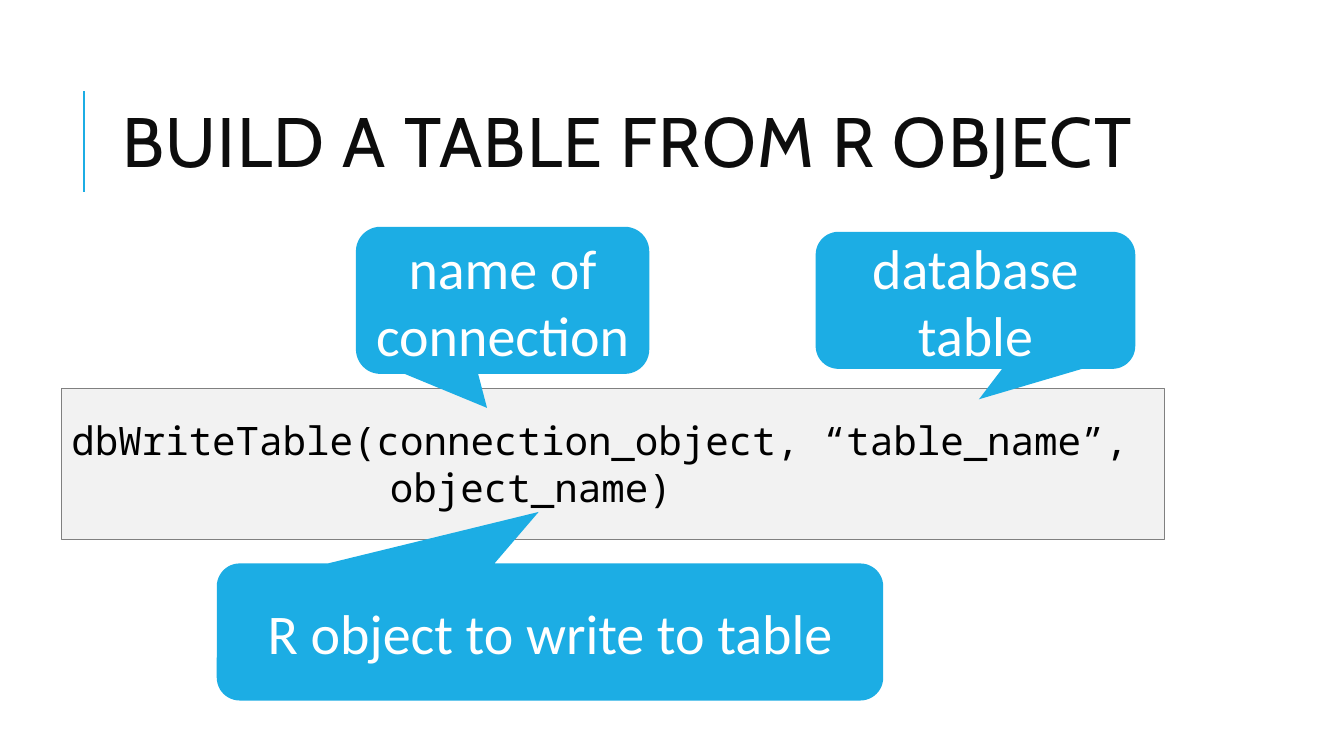
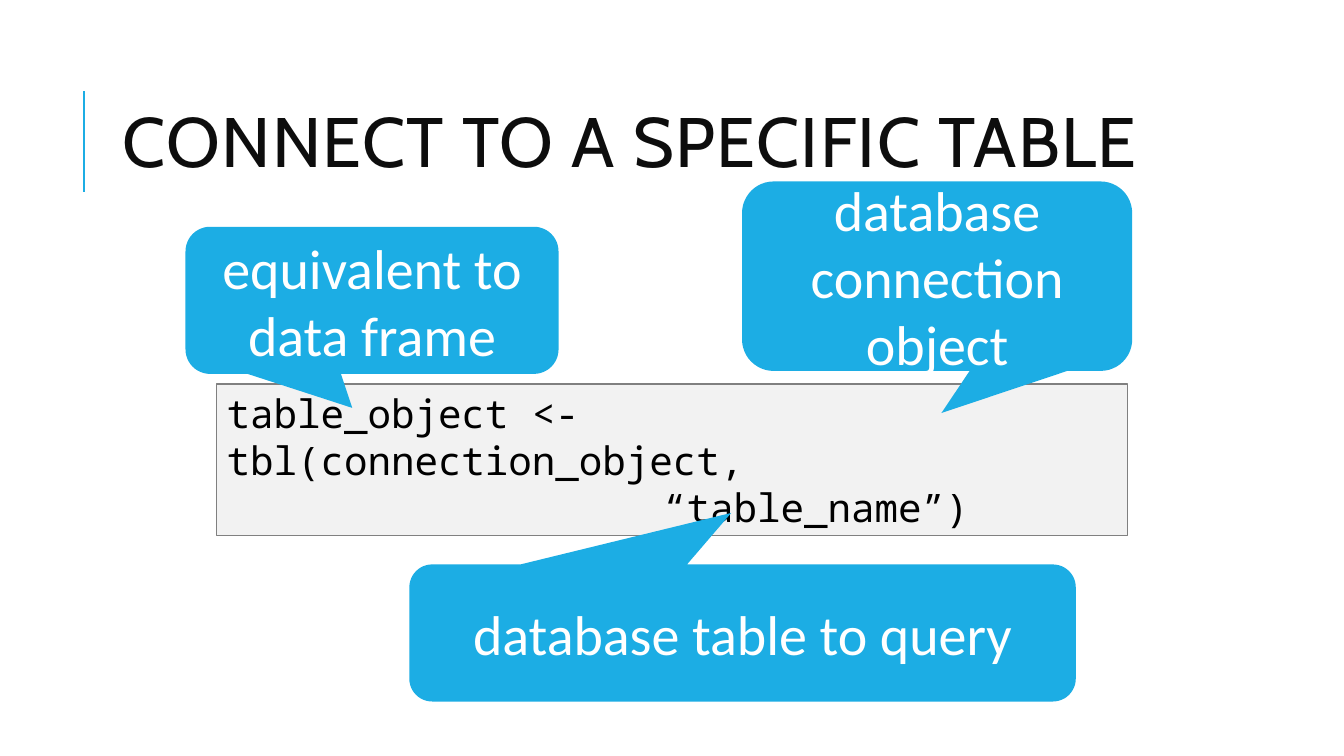
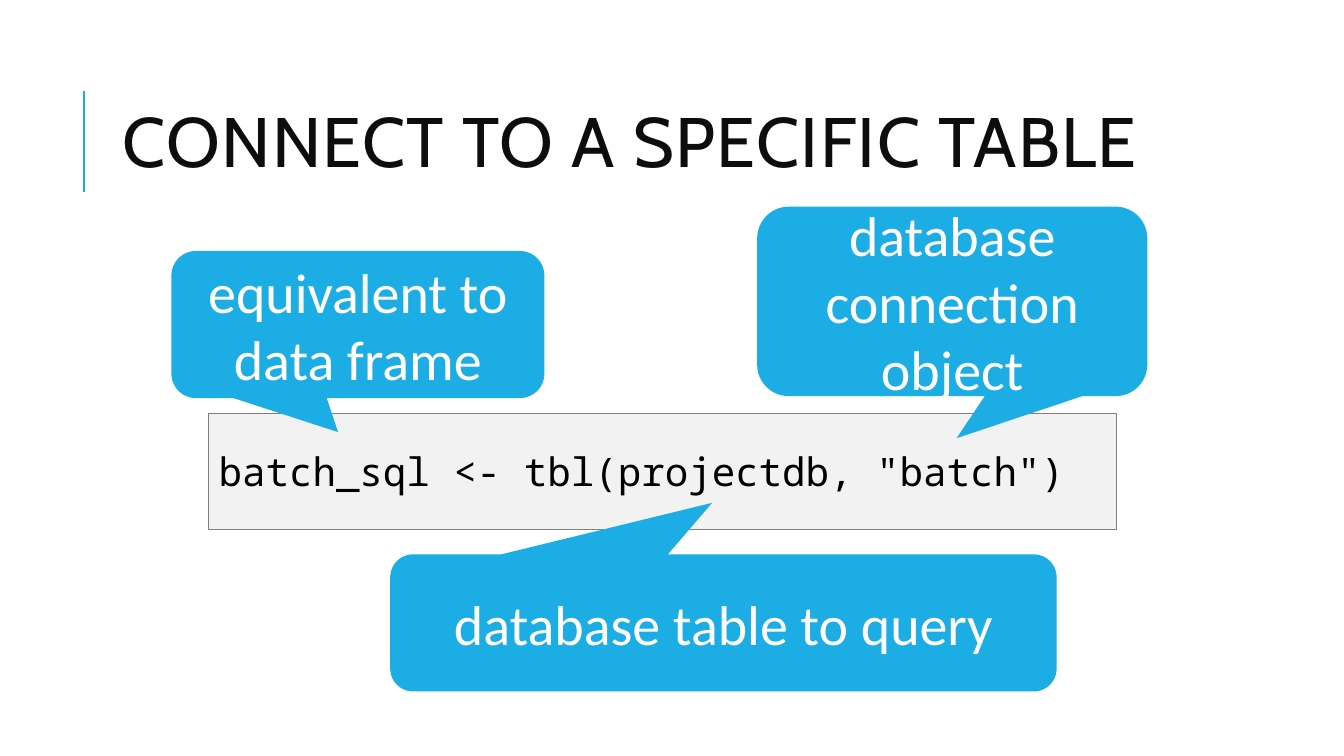
from pptx import Presentation
from pptx.dml.color import RGBColor
from pptx.enum.shapes import MSO_CONNECTOR, MSO_SHAPE
from pptx.enum.text import MSO_ANCHOR, PP_ALIGN
from pptx.oxml.ns import qn
from pptx.util import Inches, Pt
from lxml.etree import SubElement

COLORS = {"accent": "1CADE4", "title": "0D0D0D", "panel": "F2F2F2",
          "border": "808080", "code": "000000", "callout": "FFFFFF"}
FONTS = {
    "title": {"name": "Cabin", "size": Pt(50)},
    "code": {"name": "Noto Sans Mono", "size": Pt(28)},
    "callout": {"name": "Calibri", "size": Pt(40)},
}
PARAGRAPHS = {
    "title": {"line_spacing": 0.8, "alignment": PP_ALIGN.LEFT},
    "code": {"line_spacing": Pt(33.6), "alignment": PP_ALIGN.LEFT},
    "callout": {"alignment": PP_ALIGN.CENTER},
}

# Pointer tip (x, y) from the callout centre, and corner rounding
POINTERS = {
    "down_left": (-0.053, 0.731, 0.167),
    "down_right": (0.011, 0.722, 0.167),
    "up": (-0.017, -0.876, 0.167),
}

# Each code line is (indent, text); each callout is (text, pointer, place)
PAGES = [
    {"title": "BUILD A TABLE FROM R OBJECT",
     "panel": (0.61, 3.85, 10.94, 1.5),
     "code": [(0, "dbWriteTable(connection_object, “table_name”,"),
              (3.16, "object_name)")],
     "callouts": [
         ("name of connection", "down_left", (3.53, 2.25, 2.91, 1.46)),
         ("database table", "down_right", (8.09, 2.3, 3.17, 1.36)),
         ("R object to write to table", "up", (2.15, 5.59, 6.61, 1.36))]},
    {"title": "CONNECT TO A SPECIFIC TABLE",
     "panel": (2.15, 3.81, 9.03, 1.5),
     "code": [(0, "table_object <- tbl(connection_object,"),
              (4.33, "“table_name”)")],
     "callouts": [
         ("equivalent to data frame", "down_left", (1.84, 2.25, 3.7, 1.46)),
         ("database table to query", "up", (4.06, 5.6, 6.61, 1.36)),
         ("database connection object", "down_right", (7.36, 1.8, 3.87, 1.88))]},
    {"title": "CONNECT TO A SPECIFIC TABLE",
     "panel": (2.07, 4.1, 9, 1.15),
     "code": [(0, 'batch_sql <- tbl(projectdb, "batch")')],
     "callouts": [
         ("equivalent to data frame", "down_left", (1.7, 2.49, 3.7, 1.46)),
         ("database table to query", "up", (3.87, 5.5, 6.61, 1.36)),
         ("database connection object", "down_right", (7.51, 2.05, 3.87, 1.88))]},
]


def color(name):
    return RGBColor.from_string(COLORS[name])


def set_values(target, values):
    for name, value in values.items():
        setattr(target, name, value)


def write_lines(shape, lines, style):
    """Write (indent, text) lines, centred vertically in the shape."""
    frame = shape.text_frame
    set_values(frame, {"word_wrap": True, "vertical_anchor": MSO_ANCHOR.MIDDLE})
    for number, (indent, text) in enumerate(lines):
        para = frame.add_paragraph() if number else frame.paragraphs[0]
        set_values(para, PARAGRAPHS[style])
        if indent:
            para._p.get_or_add_pPr().set("marL", str(Inches(indent)))
        span = para.add_run()
        span.text = text
        set_values(span.font, FONTS[style])
        span.font.color.rgb = color(style)


def add_filled_shape(page, kind, place, fill):
    shape = page.shapes.add_shape(kind, *map(Inches, place))
    shape.shadow.inherit = False
    shape.fill.solid()
    shape.fill.fore_color.rgb = color(fill)
    shape.line.fill.background()
    return shape


def add_title(page, text):
    # Accent rule beside the title
    rule = page.shapes.add_connector(
        MSO_CONNECTOR.STRAIGHT, *map(Inches, (0.83, 1.9, 0.83, 0.9)))
    set_values(rule.line, {"width": Pt(1.5)})
    rule.line.color.rgb = color("accent")
    SubElement(rule._element.spPr, qn("a:effectLst"))

    # Title text, letter-spaced by one point
    box = page.shapes.add_textbox(*map(Inches, (1.12, 0.64, 10.63, 1.64)))
    write_lines(box, [(0, text)], "title")
    span = box.text_frame.paragraphs[0].runs[0]
    span.font._element.set("spc", "100")


def add_code_panel(page, place, lines):
    panel = add_filled_shape(page, MSO_SHAPE.RECTANGLE, place, "panel")
    panel.line.color.rgb = color("border")
    panel.line.width = Pt(0.75)
    write_lines(panel, lines, "code")


def add_callout(page, text, pointer, place):
    callout = add_filled_shape(
        page, MSO_SHAPE.ROUNDED_RECTANGULAR_CALLOUT, place, "accent")
    for number, value in enumerate(POINTERS[pointer]):
        callout.adjustments[number] = value
    write_lines(callout, [(0, text)], "callout")


def main():
    deck = Presentation()
    set_values(deck, {"slide_width": Inches(13.33), "slide_height": Inches(7.5)})
    for content in PAGES:
        page = deck.slides.add_slide(deck.slide_layouts[6])
        add_title(page, content["title"])
        add_code_panel(page, content["panel"], content["code"])
        for callout in content["callouts"]:
            add_callout(page, *callout)
    deck.save("out.pptx")


if __name__ == "__main__":
    main()
